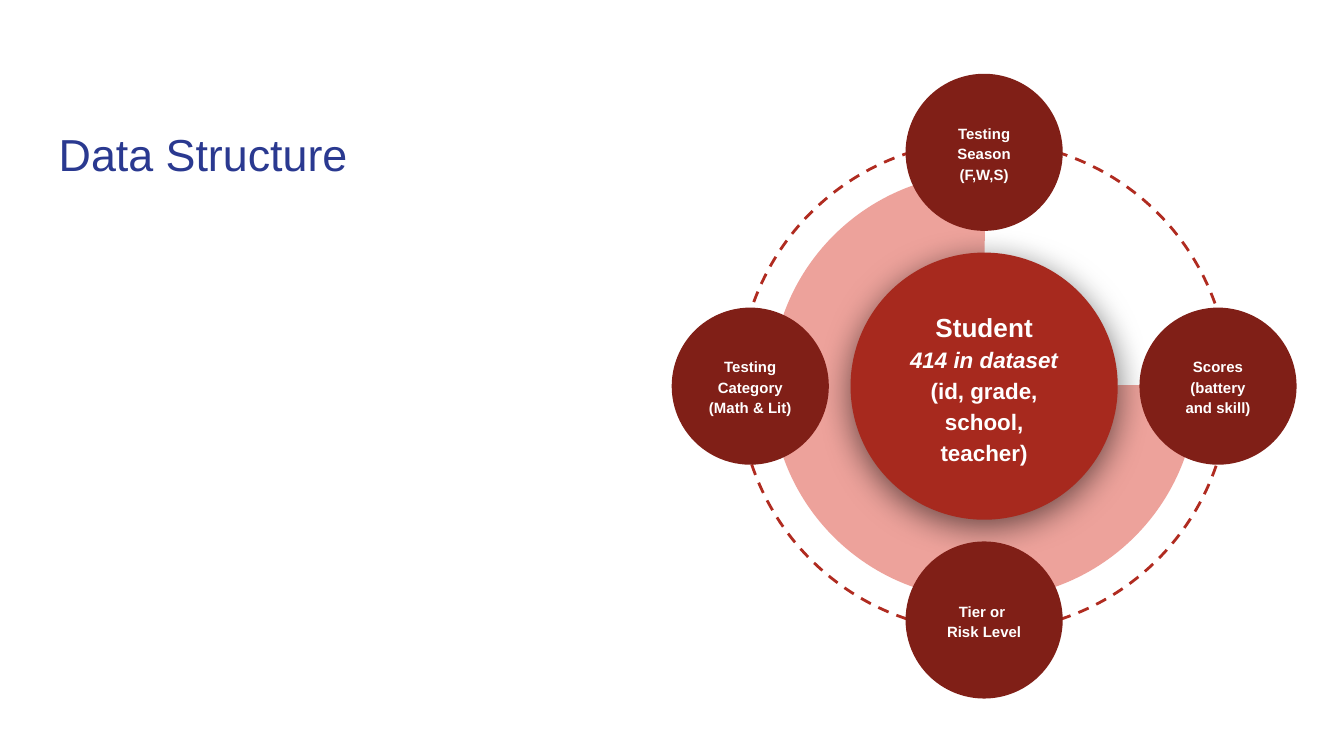
import pptx
import pptx.dml.color
import pptx.enum.dml
import pptx.enum.shapes
import pptx.enum.text
import pptx.oxml
import pptx.oxml.ns
import pptx.util

Cm, Pt = pptx.util.Cm, pptx.util.Pt
SHAPE = pptx.enum.shapes.MSO_SHAPE
ANCHOR = pptx.enum.text.MSO_ANCHOR
CENTER_X, CENTER_Y = 18.6, 7.3
ORBIT = 4.42


def add_disc(kind, x, y, diameter, fill=None):
    """Add a shape without outline or shadow, centred on (x, y) in cm."""
    disc = slide.shapes.add_shape(
        kind, Cm(x - diameter / 2), Cm(y - diameter / 2), Cm(diameter), Cm(diameter))
    disc.shadow.inherit = False
    disc.line.fill.background()
    if fill:
        disc.fill.solid()
        disc.fill.fore_color.rgb = pptx.dml.color.RGBColor.from_string(fill)
    else:
        disc.fill.background()
    return disc


def add_text(x, y, width, height, lines, color="FFFFFF", centered=True):
    """Add a text box centred on (x, y) in cm; lines are (text, size, bold, italic)."""
    box = slide.shapes.add_textbox(
        Cm(x - width / 2), Cm(y - height / 2), Cm(width), Cm(height))
    frame = box.text_frame
    frame.word_wrap = True
    frame.vertical_anchor = ANCHOR.MIDDLE if centered else ANCHOR.BOTTOM
    frame.margin_left = frame.margin_right = Cm(0.25)
    frame.margin_top = frame.margin_bottom = Cm(0.25)
    for index, (text, size, bold, italic) in enumerate(lines):
        para = frame.add_paragraph() if index else frame.paragraphs[0]
        para.text = text
        if centered:
            para.alignment = pptx.enum.text.PP_ALIGN.CENTER
            para.line_spacing = 1.15
        para.font.name = "Arial"
        para.font.size = Pt(size)
        para.font.bold = bold
        para.font.italic = italic
        para.font.color.rgb = pptx.dml.color.RGBColor.from_string(color)


deck = pptx.Presentation()
deck.slide_width, deck.slide_height = Cm(25.4), Cm(14.29)
slide = deck.slides.add_slide(deck.slide_layouts[6])

add_text(4.76, 2.6, 7.8, 2.11, [("Data Structure", 24, False, False)],
         color="2A3990", centered=False)

# Dashed orbit and three-quarter pie behind the centre
orbit = add_disc(SHAPE.OVAL, CENTER_X, CENTER_Y, 9.27)
orbit.rotation = 270
orbit.line.color.rgb = pptx.dml.color.RGBColor.from_string("B02B20")
orbit.line.width = Pt(1.5)
orbit.line.dash_style = pptx.enum.dml.MSO_LINE.DASH

pie = add_disc(SHAPE.PIE, CENTER_X, CENTER_Y, 8.05, "EDA29B")
pie.adjustments[0] = 215.77
pie.adjustments[1] = 162.15

# Centre disc with a soft shadow below
student = add_disc(SHAPE.OVAL, CENTER_X, CENTER_Y, 5.05, "A7291E")
effects = student._element.spPr.find(pptx.oxml.ns.qn("a:effectLst"))
effects.append(pptx.oxml.parse_xml(
    f'<a:outerShdw {pptx.oxml.ns.nsdecls("a")} blurRad="{Pt(18)}" dist="{Pt(4)}" '
    'dir="5400000" algn="ctr" rotWithShape="0">'
    '<a:srgbClr val="000000"><a:alpha val="55000"/></a:srgbClr></a:outerShdw>'))
add_text(CENTER_X, CENTER_Y, 3.73, 2.29, [
    ("Student", 14, True, False),
    ("414 in dataset", 12, True, True),
    ("(id, grade, school, teacher)", 12, True, False),
])

# Satellites: direction from the centre and paragraphs
satellites = [
    (0, -1, ["Testing Season", "(F,W,S)"]),
    (0, 1, ["Tier or ", "Risk Level"]),
    (-1, 0, ["Testing Category", "(Math & Lit)"]),
    (1, 0, ["Scores\v(battery and skill)"]),
]
for step_x, step_y, texts in satellites:
    x, y = CENTER_X + step_x * ORBIT, CENTER_Y + step_y * ORBIT
    add_disc(SHAPE.OVAL, x, y, 2.97, "801F17")
    add_text(x, y, 2.11, 2.03, [(text, 8, True, False) for text in texts])

deck.save("out.pptx")
